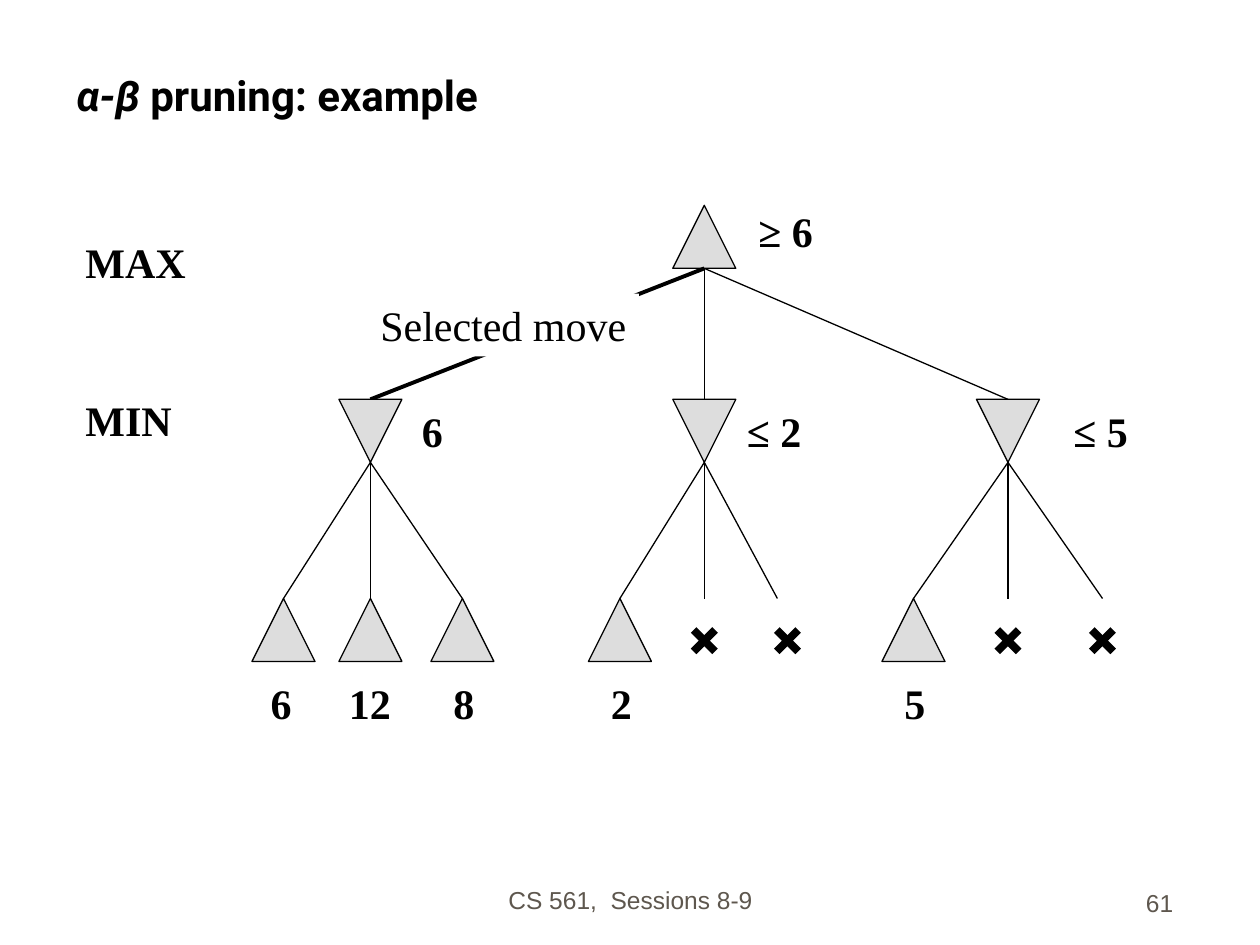
from dataclasses import dataclass

from lxml.etree import SubElement
from pptx import Presentation
from pptx.dml.color import RGBColor
from pptx.enum.shapes import MSO_CONNECTOR, MSO_SHAPE
from pptx.enum.text import MSO_ANCHOR, MSO_AUTO_SIZE, PP_ALIGN
from pptx.oxml.ns import qn
from pptx.util import Inches, Pt


@dataclass(frozen=True)
class Theme:
    ink: RGBColor = RGBColor(0x00, 0x00, 0x00)
    paper: RGBColor = RGBColor(0xFF, 0xFF, 0xFF)
    node: RGBColor = RGBColor(0xDD, 0xDD, 0xDD)
    footer: RGBColor = RGBColor(0x5E, 0x57, 0x4E)
    title_font: str = "Roboto"
    label_font: str = "Times New Roman"
    footer_font: str = "Arial"
    text_size: int = 24
    footer_size: int = 14
    thin: float = 0.75
    selected: float = 2.25
    cross: float = 4.5


THEME = Theme()
NODE = 0.5           # side of every triangle
LEVEL_DROP = 1.58    # from the top of a MIN node to the top of its leaves
VALUE_DROP = 2.16    # from the top of a MIN node to its leaf values
CROSS = 0.17


def add_run(paragraph, text, font, size, color, bold=False, italic=False):
    run = paragraph.add_run()
    run.text = text
    run.font.name = font
    run.font.size = Pt(size)
    run.font.color.rgb = color
    run.font.bold = bold
    run.font.italic = italic


def add_text_box(slide, box, anchor=MSO_ANCHOR.TOP, align=PP_ALIGN.LEFT, wrap=True):
    shape = slide.shapes.add_textbox(*map(Inches, box))
    frame = shape.text_frame
    frame.word_wrap = wrap
    frame.vertical_anchor = anchor
    if not wrap:
        frame.auto_size = MSO_AUTO_SIZE.SHAPE_TO_FIT_TEXT
    paragraph = frame.paragraphs[0]
    paragraph.alignment = align
    return shape, paragraph


def add_label(slide, text, left, top, width, bold=True):
    shape, paragraph = add_text_box(slide, (left, top, width, 0.5), wrap=False)
    add_run(paragraph, text, THEME.label_font, THEME.text_size, THEME.ink, bold)
    return shape


def add_node(slide, center, top, is_min=False):
    shape = slide.shapes.add_shape(
        MSO_SHAPE.ISOSCELES_TRIANGLE,
        Inches(center - NODE / 2), Inches(top), Inches(NODE), Inches(NODE))
    shape.shadow.inherit = False
    shape.fill.solid()
    shape.fill.fore_color.rgb = THEME.node
    shape.line.color.rgb = THEME.ink
    shape.line.width = Pt(THEME.thin)
    if is_min:
        shape._element.spPr.xfrm.set("flipV", "1")


def add_line(shapes, start, end, width=THEME.thin):
    line = shapes.add_connector(MSO_CONNECTOR.STRAIGHT, *map(Inches, (*start, *end)))
    line.line.color.rgb = THEME.ink
    line.line.width = Pt(width)
    SubElement(line._element.spPr, qn("a:effectLst"))


def add_cross(slide, center, top):
    group = slide.shapes.add_group_shape()
    left, right, bottom = center - CROSS / 2, center + CROSS / 2, top + CROSS
    add_line(group.shapes, (left, top), (right, bottom), THEME.cross)
    add_line(group.shapes, (left, bottom), (right, top), THEME.cross)


def add_title(slide, box):
    _, paragraph = add_text_box(slide, box, MSO_ANCHOR.BOTTOM)
    for text, italic in (("α-β", True), (" pruning: example", False)):
        add_run(paragraph, text, THEME.title_font, THEME.text_size,
                THEME.ink, bold=True, italic=italic)


def add_footer(slide, box, text, align):
    _, paragraph = add_text_box(slide, box, MSO_ANCHOR.BOTTOM, align)
    add_run(paragraph, text, THEME.footer_font, THEME.footer_size, THEME.footer)


def add_min_subtree(slide, center, top, bound, branches, values, crosses):
    """A MIN node; branches, values and crosses are offsets from its center."""
    add_node(slide, center, top, is_min=True)
    leaf_top = top + LEVEL_DROP
    for offset in branches:
        add_line(slide.shapes, (center, top + NODE), (center + offset, leaf_top))

    # Explored leaves with their values
    for offset, (text, shift, width) in zip(branches, values):
        add_node(slide, center + offset, leaf_top)
        add_label(slide, text, center + offset + shift, top + VALUE_DROP, width)

    # Pruned leaves
    for offset in crosses:
        add_cross(slide, center + offset, leaf_top + 0.25)

    text, shift, width = bound
    add_label(slide, text, center + shift, top, width)


def add_game_tree(slide, left, top):
    """The tree; left is the axis of the first leaf, top the apex of the root."""
    root = left + 3.34
    min_top = top + 1.54
    subtrees = [
        (left + 0.69, ("6", 0.31, 0.37), (-0.69, 0, 0.73),
         (("6", -0.2, 0.37), ("12", -0.27, 0.53), ("8", -0.17, 0.37)), ()),
        (root, ("≤ 2", 0.24, 0.63), (-0.67, 0, 0.58),
         (("2", -0.17, 0.37),), (0, 0.66)),
        (left + 5.75, ("≤ 5", 0.42, 0.63), (-0.75, 0, 0.75),
         (("5", -0.17, 0.37),), (0, 0.75)),
    ]

    # Root and its moves, the first one selected
    add_node(slide, root, top)
    add_label(slide, "≥ 6", root + 0.33, top - 0.05, 0.63)
    for index, (center, bound, branches, values, crosses) in enumerate(subtrees):
        width = THEME.selected if index == 0 else THEME.thin
        add_line(slide.shapes, (root, top + NODE), (center, min_top), width)
        add_min_subtree(slide, center, min_top, bound, branches, values, crosses)

    # Caption over the selected move
    caption = add_label(slide, "Selected move", left + 0.67, top + 0.7, 2.15, bold=False)
    caption.fill.solid()
    caption.fill.fore_color.rgb = THEME.paper


def main():
    presentation = Presentation()
    presentation.slide_width = Inches(10)
    presentation.slide_height = Inches(7.5)
    slide = presentation.slides.add_slide(presentation.slide_layouts[6])

    add_title(slide, (0.51, 0.25, 8.92, 0.75))

    # Level names
    add_label(slide, "MAX", 0.58, 1.83, 1)
    add_label(slide, "MIN", 0.58, 3.08, 0.89)

    add_game_tree(slide, 2.25, 1.63)

    add_footer(slide, (3.42, 6.81, 3.17, 0.5), "CS 561,  Sessions 8-9", PP_ALIGN.CENTER)
    add_footer(slide, (7.33, 6.83, 2.08, 0.5), "61", PP_ALIGN.RIGHT)

    presentation.save("out.pptx")


if __name__ == "__main__":
    main()
